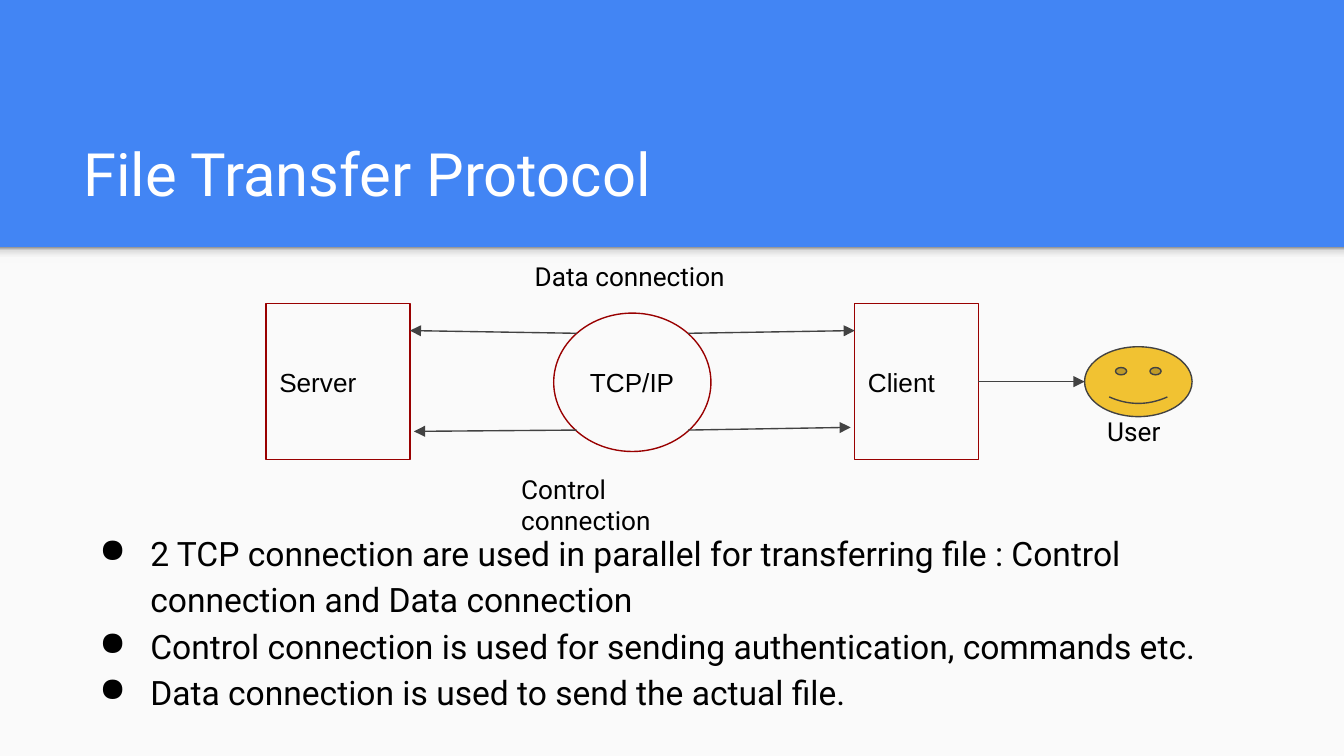
"""Build a slide that explains the two connections of the File Transfer Protocol."""
from dataclasses import dataclass
from typing import Optional

from lxml.etree import SubElement
from pptx import Presentation
from pptx.dml.color import RGBColor
from pptx.enum.shapes import MSO_CONNECTOR, MSO_SHAPE
from pptx.enum.text import MSO_ANCHOR, MSO_AUTO_SIZE, PP_ALIGN
from pptx.oxml.ns import qn
from pptx.util import Inches, Pt


@dataclass(frozen=True)
class Theme:
    """Colours, fonts and type sizes."""
    blue: str = "4285F4"
    paper: str = "FAFAFA"
    white: str = "FFFFFF"
    ink: str = "000000"
    outline: str = "990000"
    arrow: str = "424242"
    yellow: str = "F1C232"
    shadow: tuple = ((0, "F9F9F9"), (36, "F9F9F9"), (80, "DEDEDE"), (100, "999999"))
    heading_font: str = "Roboto"
    node_font: str = "Arial"
    title_size: int = 32
    body_size: int = 18
    label_size: int = 14
    line_width: float = 0.75


@dataclass(frozen=True)
class Area:
    """A rectangle in grid columns and rows."""
    column: float
    row: float
    columns: float
    rows: float


@dataclass(frozen=True)
class Node:
    """An outlined shape of the diagram."""
    text: str
    area: Area
    kind: MSO_SHAPE = MSO_SHAPE.RECTANGLE


@dataclass(frozen=True)
class Label:
    """A free caption of the diagram."""
    text: str
    area: Area


@dataclass(frozen=True)
class Arrow:
    """A straight arrow between two grid points."""
    start: tuple[float, float]
    end: tuple[float, float]
    source: Optional[str] = None


THEME = Theme()
COLUMNS, ROWS = 100, 56.25
HEADER_ROWS = 18.4
TITLE = Label("File Transfer Protocol", Area(5.2, 8.1, 89.9, 8.4))
BODY_AREA = Area(5.2, 38.2, 89.9, 14.4)
BULLETS = (
    "2 TCP connection are used in parallel for transferring file : "
    "Control connection and Data connection",
    "Control connection is used for sending authentication, commands etc.",
    "Data connection is used to send the actual file.",
)
NODES = (
    Node("Server", Area(19.8, 22.6, 10.7, 11.6)),
    Node("Client", Area(63.6, 22.6, 9.2, 11.6)),
    Node("TCP/IP", Area(41.2, 23.3, 11.7, 10.3), MSO_SHAPE.OVAL),
)
USER_AREA = Area(80.7, 25.8, 8, 5.2)
LABELS = (
    Label("Control connection", Area(37.8, 34.2, 18.4, 4.4)),
    Label("Data connection", Area(38.8, HEADER_ROWS, 16.6, 4.4)),
    Label("User", Area(81.4, 29.9, 6.6, 4.4)),
)
ARROWS = (
    Arrow((51.2, 24.8), (63.6, 24.6)),
    Arrow((42.9, 24.8), (30.5, 24.6)),
    Arrow((51.2, 32), (63.3, 31.8)),
    Arrow((42.9, 32), (30.8, 32.1)),
    Arrow((72.8, 28.4), (80.7, 28.4), "Client"),
)


def grid(count: float) -> int:
    """Turn a count of grid cells into a length."""
    return Inches(count / 10)


def bounds(area: Area) -> tuple:
    """Return left, top, width and height of an area."""
    return tuple(grid(count) for count in (area.column, area.row, area.columns, area.rows))


def color(code: str) -> RGBColor:
    """Read a colour code."""
    return RGBColor.from_string(code)


def set_line(line, code: str) -> None:
    """Format an outline."""
    line.color.rgb = color(code)
    line.width = Pt(THEME.line_width)


def write(shape, texts: tuple, font: str, size: int, code: str = THEME.ink,
          anchor: MSO_ANCHOR = MSO_ANCHOR.TOP) -> list:
    """Fill a shape with left-aligned paragraphs and return them."""
    frame = shape.text_frame
    frame.text = "\n".join(texts)
    frame.word_wrap = True
    frame.auto_size = MSO_AUTO_SIZE.NONE
    frame.vertical_anchor = anchor
    frame.margin_left = frame.margin_right = frame.margin_top = frame.margin_bottom = grid(1)
    for paragraph in frame.paragraphs:
        paragraph.alignment = PP_ALIGN.LEFT
        paragraph.font.name = font
        paragraph.font.size = Pt(size)
        paragraph.font.color.rgb = color(code)
    return list(frame.paragraphs)


def add_plain(page, kind: MSO_SHAPE, area: Area, fill: Optional[str] = None,
              outline: Optional[str] = None):
    """Add a preset shape without a shadow."""
    shape = page.shapes.add_shape(kind, *bounds(area))
    shape.shadow.inherit = False
    if fill:
        shape.fill.solid()
        shape.fill.fore_color.rgb = color(fill)
    else:
        shape.fill.background()
    if outline:
        set_line(shape.line, outline)
    else:
        shape.line.fill.background()
    return shape


def add_backdrop(page) -> None:
    """Draw the blue header, the paper and the shadow at its edge."""
    page.background.fill.solid()
    page.background.fill.fore_color.rgb = color(THEME.blue)
    add_plain(page, MSO_SHAPE.RECTANGLE, Area(0, HEADER_ROWS, COLUMNS, ROWS - HEADER_ROWS), THEME.paper)
    strip = add_plain(page, MSO_SHAPE.RECTANGLE, Area(0, HEADER_ROWS, COLUMNS, 1.2))
    strip.fill.gradient()
    strip.fill.gradient_angle = 90
    stops = strip.element.spPr.find(qn("a:gradFill")).find(qn("a:gsLst"))
    for stop in list(stops):
        stops.remove(stop)
    for position, code in THEME.shadow:
        stop = SubElement(stops, qn("a:gs"), pos=str(position * 1000))
        SubElement(stop, qn("a:srgbClr"), val=code)


def add_title(page, title: Label) -> None:
    """Place and format the title placeholder."""
    shape = page.shapes.title
    shape.left, shape.top, shape.width, shape.height = bounds(title.area)
    write(shape, (title.text,), THEME.heading_font, THEME.title_size, THEME.white, MSO_ANCHOR.BOTTOM)


def add_bullets(page, area: Area, texts: tuple) -> None:
    """Add the bulleted explanation."""
    box = page.shapes.add_textbox(*bounds(area))
    for paragraph in write(box, texts, THEME.heading_font, THEME.body_size):
        paragraph.line_spacing = 1.15
        properties = paragraph._p.get_or_add_pPr()
        properties.set("marL", str(Inches(0.5)))
        properties.set("indent", str(Inches(-0.38)))
        bullet_color = SubElement(properties, qn("a:buClr"))
        SubElement(bullet_color, qn("a:srgbClr"), val=THEME.ink)
        SubElement(properties, qn("a:buChar"), char="●")
        defaults = properties.find(qn("a:defRPr"))
        if defaults is not None:
            properties.append(defaults)


def add_node(page, node: Node):
    """Add an outlined shape with its name."""
    shape = add_plain(page, node.kind, node.area, outline=THEME.outline)
    write(shape, (node.text,), THEME.node_font, THEME.label_size, anchor=MSO_ANCHOR.MIDDLE)
    if node.kind == MSO_SHAPE.OVAL:
        shape.text_frame.word_wrap = True
    return shape


def add_label(page, label: Label) -> None:
    """Add a caption."""
    box = page.shapes.add_textbox(*bounds(label.area))
    write(box, (label.text,), THEME.heading_font, THEME.label_size)


def add_arrow(page, arrow: Arrow, shapes: dict) -> None:
    """Add an arrow, joined to the right side of its source if it has one."""
    points = (grid(count) for count in (*arrow.start, *arrow.end))
    connector = page.shapes.add_connector(MSO_CONNECTOR.STRAIGHT, *points)
    if arrow.source:
        connector.begin_connect(shapes[arrow.source], 3)
    set_line(connector.line, THEME.arrow)
    SubElement(connector.line._get_or_add_ln(), qn("a:tailEnd"), type="triangle")
    SubElement(connector.element.spPr, qn("a:effectLst"))


def main() -> None:
    """Build and save the deck."""
    deck = Presentation()
    deck.slide_width, deck.slide_height = grid(COLUMNS), grid(ROWS)
    page = deck.slides.add_slide(deck.slide_layouts.get_by_name("Title Only"))
    add_backdrop(page)
    add_title(page, TITLE)
    add_bullets(page, BODY_AREA, BULLETS)
    shapes = {node.text: add_node(page, node) for node in NODES}
    face = add_plain(page, MSO_SHAPE.SMILEY_FACE, USER_AREA, THEME.yellow, THEME.arrow)
    face.adjustments[0] = 0.047
    for label in LABELS:
        add_label(page, label)
    for arrow in ARROWS:
        add_arrow(page, arrow, shapes)
    deck.save("out.pptx")


if __name__ == "__main__":
    main()
